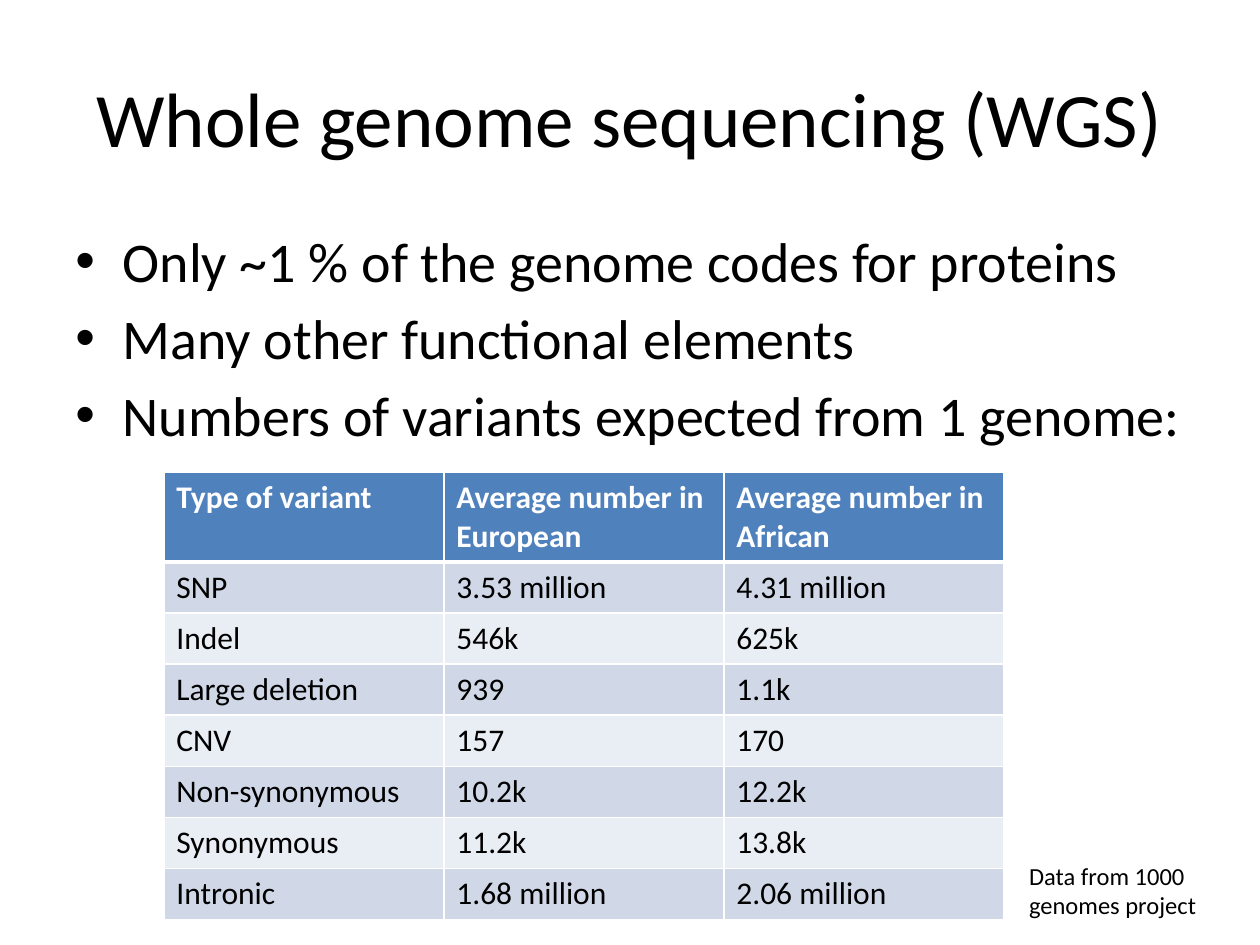
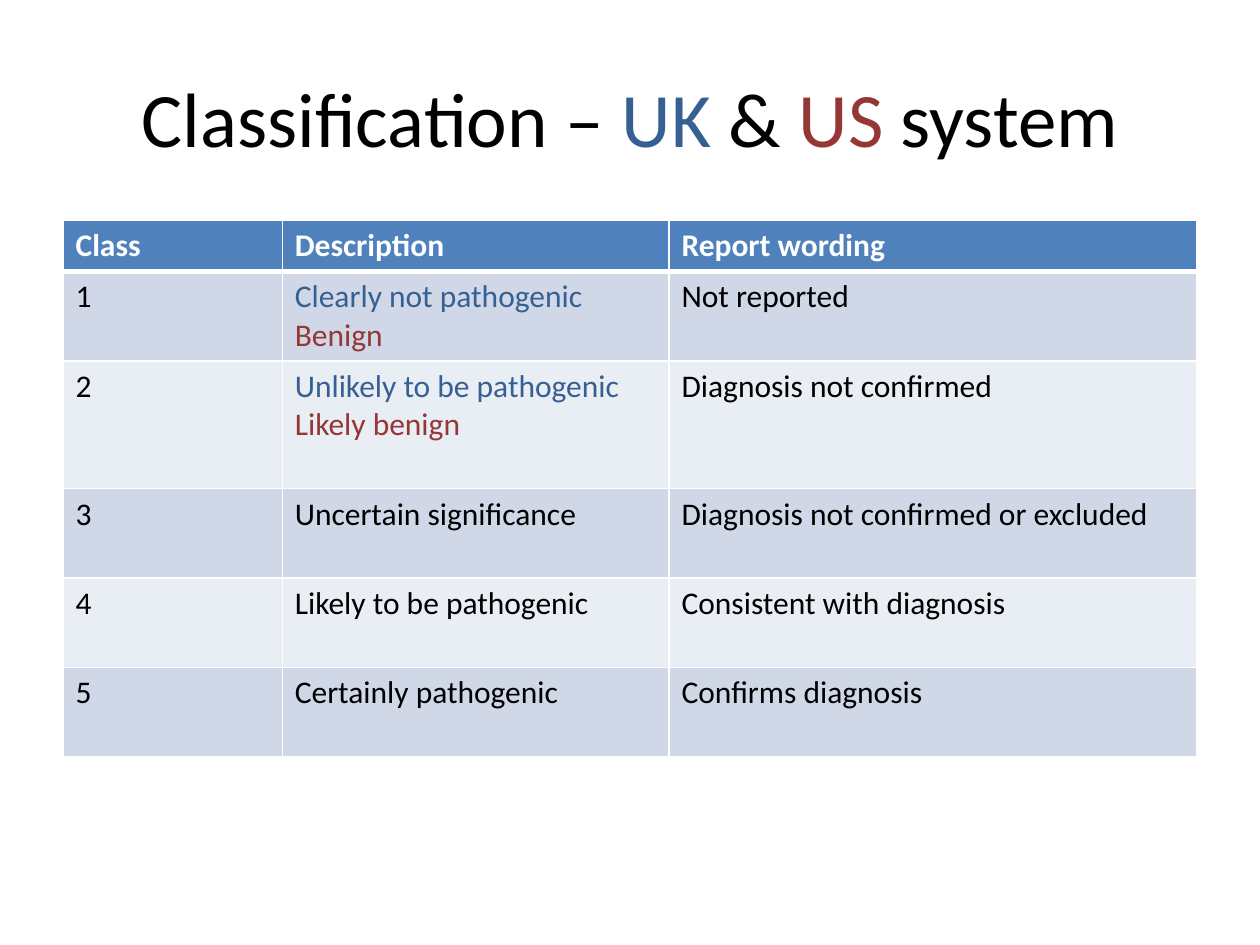
from lxml import etree
from pptx import Presentation
from pptx.dml.color import RGBColor
from pptx.enum import text
from pptx.oxml.ns import qn
from pptx.util import Pt

FONT = "Calibri"
BLACK, WHITE = "000000", "FFFFFF"
UK_BLUE, US_RED = "376092", "953735"
HEADER, BANDS = "4F81BD", ("D0D8E8", "E9EDF4")
LINE, TWO_LINES, THREE_LINES = 29.2, 51.1, 73


def rgb(value):
    return RGBColor.from_string(value)


def write(tf, paragraphs, size=18, color=BLACK, bold=False, align=None, bullet=False, gap=0):
    """Fill a text frame; a paragraph is a string or a list of (text, colour) runs."""
    tf.word_wrap = True
    for i, runs in enumerate(paragraphs):
        p = tf.paragraphs[0] if i == 0 else tf.add_paragraph()
        if bullet:
            pPr = p._p.get_or_add_pPr()
            pPr.set("marL", str(Pt(27)))
            pPr.set("indent", str(Pt(-27)))
            etree.SubElement(pPr, qn("a:buFont")).set("typeface", "Arial")
            etree.SubElement(pPr, qn("a:buChar")).set("char", "•")
        if i and gap:
            p.space_before = Pt(gap)
        if align is not None:
            p.alignment = align
        for words, run_color in [(runs, color)] if isinstance(runs, str) else runs:
            r = p.add_run()
            r.text = words
            r.font.name, r.font.size, r.font.bold = FONT, Pt(size), bold
            r.font.color.rgb = rgb(run_color)


variants = [
    ["Type of variant", "Average number in European", "Average number in African"],
    ["SNP", "3.53 million", "4.31 million"],
    ["Indel", "546k", "625k"],
    ["Large deletion", "939", "1.1k"],
    ["CNV", "157", "170"],
    ["Non-synonymous", "10.2k", "12.2k"],
    ["Synonymous", "11.2k", "13.8k"],
    ["Intronic", "1.68 million", "2.06 million"],
]
# A list in a cell holds the UK wording, then the US wording
classes = [
    ["Class", "Description", "Report wording"],
    ["1", ["Clearly not pathogenic", "Benign"], "Not reported"],
    ["2", ["Unlikely to be pathogenic", "Likely benign"], "Diagnosis not confirmed"],
    ["3", "Uncertain significance", "Diagnosis not confirmed or excluded"],
    ["4", "Likely to be pathogenic", "Consistent with diagnosis"],
    ["5", "Certainly pathogenic", "Confirms diagnosis"],
]
slides = [
    dict(title="Whole genome sequencing (WGS)",
         bullets=["Only ~1 % of the genome codes for proteins",
                  "Many other functional elements",
                  "Numbers of variants expected from 1 genome:"],
         rows=variants, left=93.6, top=270, widths=[160] * 3,
         heights=[TWO_LINES] + [LINE] * 7,
         source="Data from 1000 genomes project"),
    dict(title=[("Classification – ", BLACK), ("UK", UK_BLUE), (" & ", BLACK),
                ("US", US_RED), (" system", BLACK)],
         rows=classes, left=36, top=126, widths=[125.3, 221, 301.7],
         heights=[LINE, TWO_LINES, THREE_LINES] + [TWO_LINES] * 3),
]

prs = Presentation()
prs.slide_width, prs.slide_height = Pt(720), Pt(540)

for page in slides:
    s = prs.slides.add_slide(prs.slide_layouts[6])

    tf = s.shapes.add_textbox(Pt(36), Pt(21.6), Pt(648), Pt(90)).text_frame
    tf.vertical_anchor = text.MSO_ANCHOR.MIDDLE
    write(tf, [page["title"]], size=44, align=text.PP_ALIGN.CENTER)

    if "bullets" in page:
        tf = s.shapes.add_textbox(Pt(36), Pt(126), Pt(648), Pt(356.4)).text_frame
        write(tf, page["bullets"], size=32, bullet=True, gap=5.6)

    rows, widths, heights = page["rows"], page["widths"], page["heights"]
    table = s.shapes.add_table(len(rows), len(widths), Pt(page["left"]), Pt(page["top"]),
                               Pt(sum(widths)), Pt(sum(heights))).table
    for column, width in zip(table.columns, widths):
        column.width = Pt(width)
    for i, (row, height) in enumerate(zip(rows, heights)):
        table.rows[i].height = Pt(height)
        for j, content in enumerate(row):
            cell = table.cell(i, j)
            tcPr = cell._tc.get_or_add_tcPr()
            for side in "LRTB":
                thick = (i, side) in ((0, "B"), (1, "T"))
                ln = etree.SubElement(tcPr, qn("a:ln" + side), w=str(Pt(3 if thick else 1)))
                fill = etree.SubElement(ln, qn("a:solidFill"))
                etree.SubElement(fill, qn("a:srgbClr"), val=WHITE)
            cell.fill.solid()
            cell.fill.fore_color.rgb = rgb(BANDS[(i - 1) % 2] if i else HEADER)
            if isinstance(content, list):
                paragraphs = [[pair] for pair in zip(content, (UK_BLUE, US_RED))]
            else:
                paragraphs = [content]
            write(cell.text_frame, paragraphs, color=BLACK if i else WHITE, bold=i == 0)

    if "source" in page:
        tf = s.shapes.add_textbox(Pt(581), Pt(488.2), Pt(124.6), Pt(41)).text_frame
        write(tf, [page["source"]], size=14)

prs.save("out.pptx")
